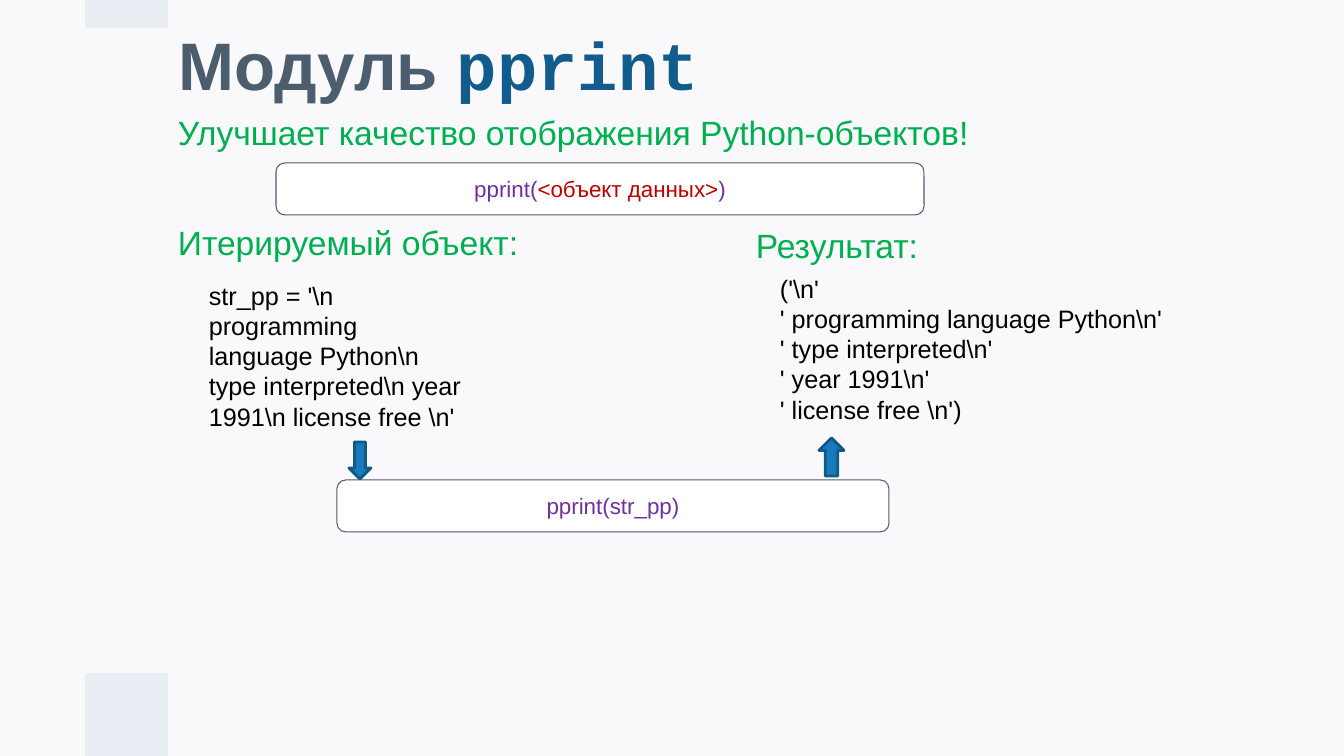
from pptx import Presentation
from pptx.dml.color import RGBColor
from pptx.enum.shapes import MSO_SHAPE
from pptx.enum.text import MSO_ANCHOR, MSO_AUTO_SIZE, PP_ALIGN
from pptx.util import Pt

RECTANGLE = MSO_SHAPE.RECTANGLE
ROUNDED = MSO_SHAPE.ROUNDED_RECTANGLE
DOWN_ARROW = MSO_SHAPE.DOWN_ARROW
UP_ARROW = MSO_SHAPE.UP_ARROW
MIDDLE = MSO_ANCHOR.MIDDLE
LEFT = PP_ALIGN.LEFT
CENTER = PP_ALIGN.CENTER
NO_AUTOFIT = MSO_AUTO_SIZE.NONE

EMU_PER_PX = 914400 / 100.8
GREEN = "00B050"
BLACK = "000000"
SLATE = "4C5D6E"
PURPLE = "7030A0"
RED = "C00000"


def px(*lengths):
    return [round(length * EMU_PER_PX) for length in lengths]


def color(target, value):
    target.rgb = RGBColor.from_string(value)


presentation = Presentation()
presentation.slide_width, presentation.slide_height = px(1344, 756)
slide = presentation.slides.add_slide(presentation.slide_layouts[5])
slide.background.fill.solid()
color(slide.background.fill.fore_color, "F9F9FB")

title = slide.shapes.title
title.left, title.top, title.width, title.height = px(168, 6, 1088, 126)
texts = [
    (title, 48, LEFT, [[("Модуль ", SLATE), ("pprint", "115C8C")]]),
]

labels = [
    ((168, 107, 826, 50), 24, GREEN, ["Улучшает качество отображения Python-объектов!"]),
    ((168, 217, 366, 50), 24, GREEN, ["Итерируемый объект:"]),
    ((199, 275, 277, 163), 18, BLACK,
     [r"str_pp = '\n programming language Python\n type interpreted\n year 1991\n license free \n'"]),
    ((746, 220, 192, 50), 24, GREEN, ["Результат:"]),
    ((770, 268, 550, 163), 18, BLACK,
     [r"('\n'", r"' programming language Python\n'", r"' type interpreted\n'",
      r"' year 1991\n'", r"' license free \n')"]),
]
for box, size, text_color, lines in labels:
    label = slide.shapes.add_textbox(*px(*box))
    texts.append((label, size, LEFT, [[(line, text_color)] for line in lines]))

call_runs = [("pprint(", PURPLE), ("<объект данных>", RED), (")", PURPLE)]
shapes = [
    (RECTANGLE, (85, 0, 83, 28), "E9EDF4", None, 0, []),
    (RECTANGLE, (85, 673, 83, 83), "E9EDF4", None, 0, []),
    (ROUNDED, (276, 163, 648, 52), "FFFFFF", SLATE, 0.75, call_runs),
    (ROUNDED, (337, 480, 552, 52), "FFFFFF", SLATE, 0.75, [("pprint(str_pp)", PURPLE)]),
    (DOWN_ARROW, (349, 442, 22, 37), "177BBB", "105988", 2, []),
    (UP_ARROW, (819, 438, 25, 38), "177BBB", "105988", 2, []),
]
for kind, box, fill, line, width, runs in shapes:
    shape = slide.shapes.add_shape(kind, *px(*box))
    shape.shadow.inherit = False
    shape.fill.solid()
    color(shape.fill.fore_color, fill)
    if line:
        color(shape.line.color, line)
        shape.line.width = Pt(width)
    else:
        shape.line.fill.background()
    if runs:
        margin = px(10)[0]
        shape.text_frame.margin_top = shape.text_frame.margin_bottom = margin
        texts.append((shape, 16, CENTER, [runs]))

for shape, size, alignment, lines in texts:
    frame = shape.text_frame
    frame.word_wrap = True
    frame.auto_size = NO_AUTOFIT
    for index, runs in enumerate(lines):
        paragraph = frame.add_paragraph() if index else frame.paragraphs[0]
        paragraph.alignment = alignment
        for text, text_color in runs:
            run = paragraph.add_run()
            run.text = text
            font_format = {"name": "Arial", "size": Pt(size), "bold": shape is title}
            for name, value in font_format.items():
                setattr(run.font, name, value)
            color(run.font.color, text_color)

title.text_frame.vertical_anchor = MIDDLE
title_paragraph = title.text_frame.paragraphs[0]
title_paragraph.line_spacing = 0.9
title_paragraph.runs[1].font.name = "Courier New"

presentation.save("out.pptx")
